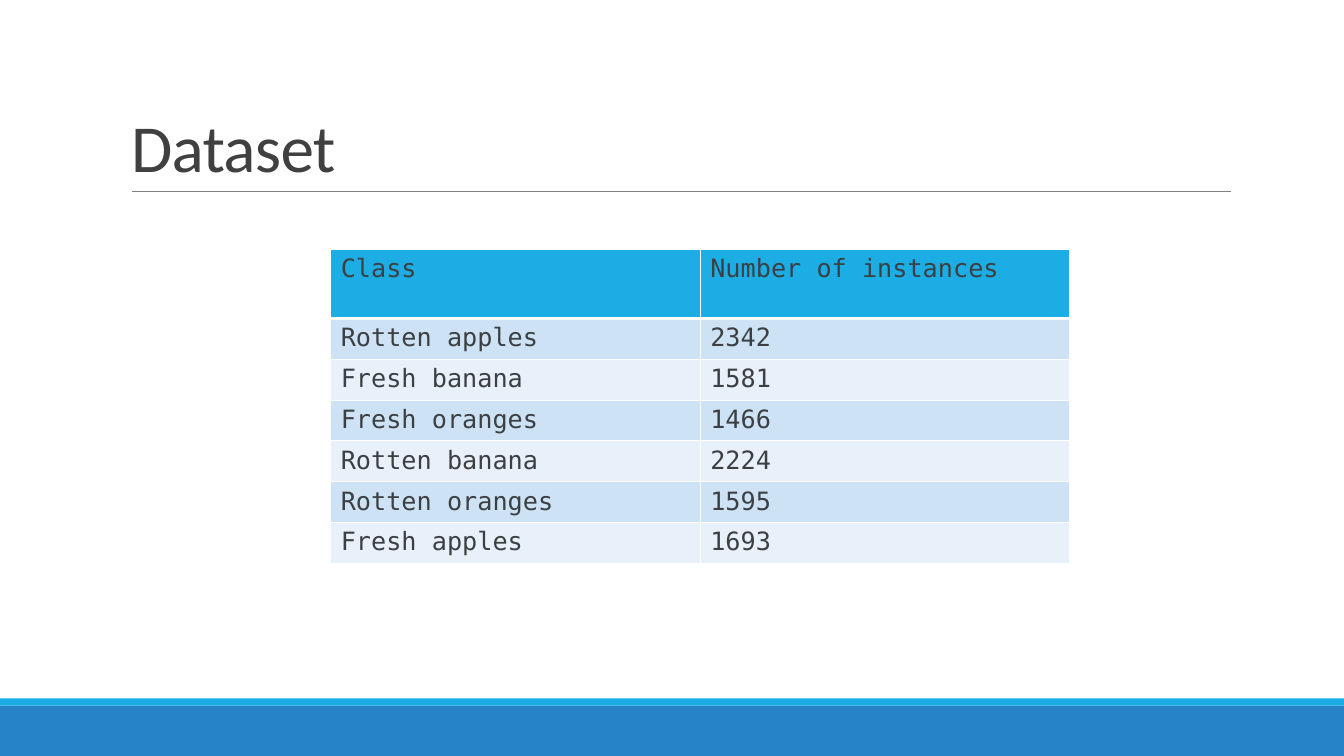
from lxml.etree import SubElement
from pptx import Presentation
from pptx.dml.color import RGBColor
from pptx.enum.shapes import MSO_CONNECTOR as Connector, MSO_SHAPE as Shape
from pptx.enum.text import MSO_ANCHOR as Anchor, PP_ALIGN as Align
from pptx.oxml.ns import qn
from pptx.util import Inches, Pt

SLIDE_WIDTH, SLIDE_HEIGHT = 13.33, 7.5
WHITE, CYAN, BLUE = "FFFFFF", "1CADE4", "2683C6"
BANDS = ("CDE3F5", "E8F1FA")
TITLE_FONT = {"name": "Calibri", "size": Pt(48), "bold": False}
CELL_FONT = {"name": "DejaVu Sans Mono", "size": Pt(18), "bold": False}
HEADER_HEIGHT, ROW_HEIGHT = 0.69, 0.405
ROWS = [
    ("Class", "Number of instances"),
    ("Rotten apples", "2342"),
    ("Fresh banana", "1581"),
    ("Fresh oranges", "1466"),
    ("Rotten banana", "2224"),
    ("Rotten oranges", "1595"),
    ("Fresh apples", "1693"),
]


def color(value):
    return RGBColor.from_string(value)


def format_run(run, font, font_color):
    for name, value in font.items():
        setattr(run.font, name, value)
    run.font.color.rgb = color(font_color)


def add_bar(slide, left, top, width, height, fill):
    bar = slide.shapes.add_shape(
        Shape.RECTANGLE, *map(Inches, (left, top, width, height)))
    bar.shadow.inherit = False
    bar.fill.solid()
    bar.fill.fore_color.rgb = color(fill)
    bar.line.fill.background()


def add_footer(slide, left, top, width, height):
    accent = 0.07
    add_bar(slide, left, top + accent, width, height - accent, BLUE)
    add_bar(slide, left, top, width, accent, CYAN)


def add_title(slide, text, left, top, width, height):
    """Fill the title placeholder and draw the rule under it."""
    title = slide.shapes.title
    title.left, title.top, title.width, title.height = map(
        Inches, (left, top, width, height))
    frame = title.text_frame
    frame.word_wrap = True
    frame.vertical_anchor = Anchor.BOTTOM
    paragraph = frame.paragraphs[0]
    paragraph.alignment = Align.LEFT
    paragraph.line_spacing = 0.85
    run = paragraph.add_run()
    run.text = text
    format_run(run, TITLE_FONT, "404040")
    run.font._element.set("spc", "-50")

    bottom = Inches(top + height)
    rule = slide.shapes.add_connector(
        Connector.STRAIGHT, Inches(left + 0.11), bottom,
        Inches(left + width + 0.01), bottom)
    rule.line.color.rgb = color("808080")
    rule.line.width = Pt(0.5)
    SubElement(rule._element.spPr, qn("a:effectLst"))


def set_borders(cell, widths):
    properties = cell._tc.get_or_add_tcPr()
    for side, width in widths.items():
        line = SubElement(properties, qn(f"a:ln{side}"), w=str(Pt(width)))
        fill = SubElement(line, qn("a:solidFill"))
        SubElement(fill, qn("a:srgbClr"), val=WHITE)


def add_class_table(slide, left, top, width):
    height = HEADER_HEIGHT + ROW_HEIGHT * (len(ROWS) - 1)
    table = slide.shapes.add_table(
        len(ROWS), len(ROWS[0]),
        *map(Inches, (left, top, width, height))).table
    for row_index, values in enumerate(ROWS):
        is_header = row_index == 0
        table.rows[row_index].height = Inches(
            HEADER_HEIGHT if is_header else ROW_HEIGHT)
        fill = CYAN if is_header else BANDS[(row_index - 1) % 2]
        widths = {"L": 1, "R": 1, "T": 3 if row_index == 1 else 1,
                  "B": 3 if is_header else 1}
        for column_index, value in enumerate(values):
            cell = table.cell(row_index, column_index)
            set_borders(cell, widths)
            cell.fill.solid()
            cell.fill.fore_color.rgb = color(fill)
            run = cell.text_frame.paragraphs[0].add_run()
            run.text = value
            format_run(run, CELL_FONT, "3C4043")


def main():
    presentation = Presentation()
    presentation.slide_width = Inches(SLIDE_WIDTH)
    presentation.slide_height = Inches(SLIDE_HEIGHT)
    slide = presentation.slides.add_slide(presentation.slide_layouts[5])
    add_footer(slide, 0, 6.93, SLIDE_WIDTH, 0.57)
    add_title(slide, "Dataset", 1.2, 0.31, 11, 1.59)
    add_class_table(slide, 3.28, 2.47, 7.33)
    presentation.save("out.pptx")


if __name__ == "__main__":
    main()
